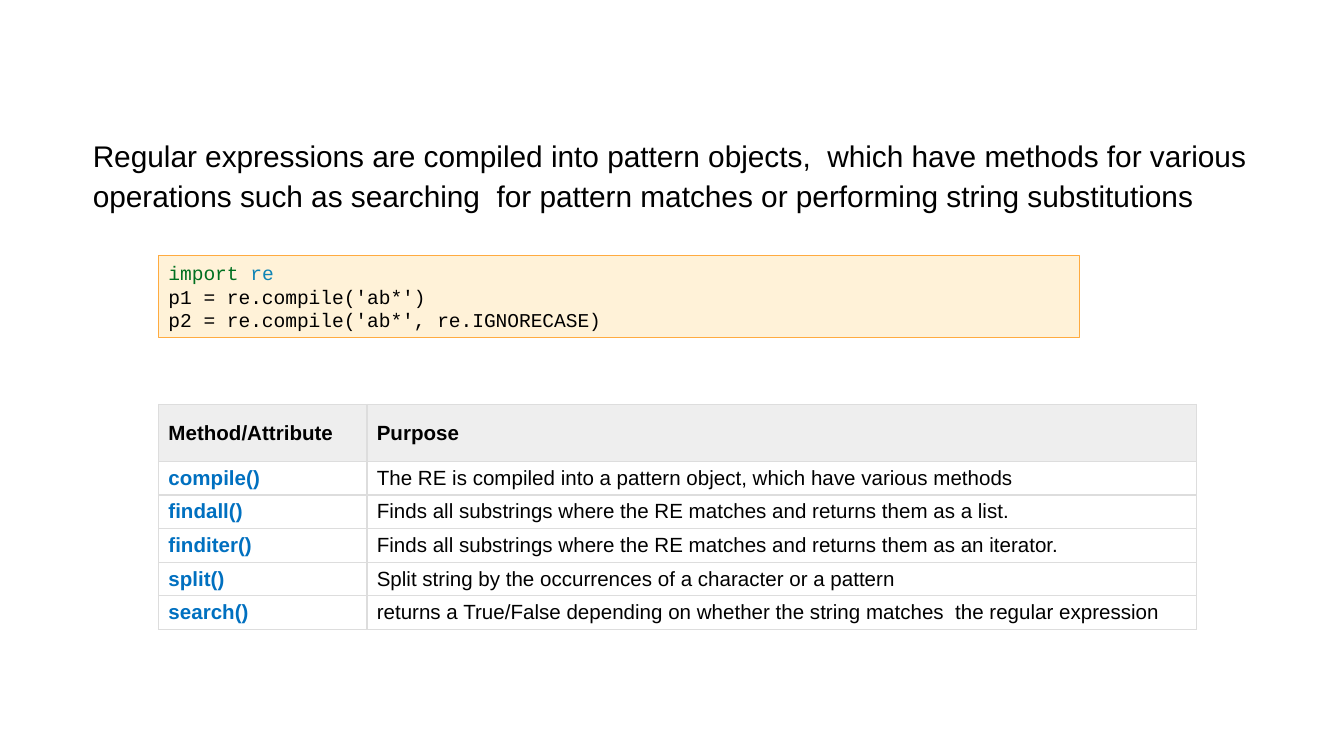
from pptx import Presentation
from pptx import util as u
from pptx.dml.color import RGBColor
from pptx.enum import shapes, text
from pptx.oxml import parse_xml
from pptx.oxml.ns import nsdecls, qn

BLACK = "000000"


def color(hex_value):
    return RGBColor.from_string(hex_value)


def add_text(paragraph, content, size=11, font="Arial", fill=BLACK, bold=False):
    run = paragraph.add_run()
    run.text = content
    run.font.size = u.Pt(size)
    run.font.name = font
    run.font.bold = bold
    run.font.color.rgb = color(fill)


presentation = Presentation()
presentation.slide_width, presentation.slide_height = u.Pt(720), u.Pt(405)
slide = presentation.slides.add_slide(presentation.slide_layouts[0])
title = slide.shapes.title
title.element.getparent().remove(title.element)

# Introduction
intro = slide.placeholders[1]
intro.left, intro.top, intro.width, intro.height = map(u.Pt, (6.5, 64.8, 684.7, 69.8))
frame = intro.text_frame
frame.word_wrap = True
frame.auto_size = text.MSO_AUTO_SIZE.NONE
frame.vertical_anchor = text.MSO_ANCHOR.TOP
frame.margin_left = frame.margin_right = frame.margin_top = frame.margin_bottom = u.Pt(7.2)
paragraph = frame.paragraphs[0]
paragraph.alignment = text.PP_ALIGN.LEFT
paragraph.line_spacing = 1.1
paragraph.space_before = u.Pt(0)
properties = paragraph._p.get_or_add_pPr()
properties.set("marL", str(u.Pt(36)))
properties.set("indent", "0")
add_text(paragraph, "Regular expressions are compiled into pattern objects,  which have methods "
         "for various operations such as searching  for pattern matches or performing "
         "string substitutions", size=16)

# Method table
rows = [
    ("Method/Attribute", "Purpose"),
    ("compile()", "The RE is compiled into a pattern object, which have various methods"),
    ("findall()", "Finds all substrings where the RE matches and returns them as a list."),
    ("finditer()", "Finds all substrings where the RE matches and returns them as an iterator."),
    ("split()", "Split string by the occurrences of a character or a pattern"),
    ("search()", "returns a True/False depending on whether the string matches  "
                 "the regular expression"),
]
table = slide.shapes.add_table(len(rows), 2, u.Pt(85), u.Pt(216.7), u.Pt(555.8), u.Pt(120.5)).table
for column, width in zip(table.columns, (111.6, 444.2)):
    column.width = u.Pt(width)
for row_index, row in enumerate(rows):
    header = row_index == 0
    table.rows[row_index].height = u.Pt(30.5 if header else 18)
    for column_index, content in enumerate(row):
        cell = table.cell(row_index, column_index)
        cell.vertical_anchor = text.MSO_ANCHOR.MIDDLE
        cell.margin_left = cell.margin_right = u.Pt(5.25)
        cell.margin_top = cell.margin_bottom = u.Pt(2.6)
        method = column_index == 0 and not header
        paragraph = cell.text_frame.paragraphs[0]
        paragraph.alignment = text.PP_ALIGN.JUSTIFY
        add_text(paragraph, content, fill="0070C0" if method else BLACK, bold=header or method)
        # Borders come before the fill in the cell properties
        cell_properties = cell._tc.get_or_add_tcPr()
        for side in ("lnL", "lnR", "lnT", "lnB"):
            cell_properties.append(parse_xml(
                f'<a:{side} {nsdecls("a")} w="{u.Pt(0.75)}"><a:solidFill>'
                f'<a:srgbClr val="DDDDDD"/></a:solidFill></a:{side}>'))
        cell.fill.solid()
        cell.fill.fore_color.rgb = color("EEEEEE" if header else "FFFFFF")

# Code box
code_box = slide.shapes.add_shape(shapes.MSO_SHAPE.RECTANGLE,
                                  u.Pt(85), u.Pt(136.8), u.Pt(493.2), u.Pt(43.9))
code_box.shadow.inherit = False
code_box.fill.solid()
code_box.fill.fore_color.rgb = color("FFCC66")
fill_color = code_box.element.spPr.find(qn("a:solidFill"))[0]
fill_color.append(parse_xml(f'<a:alpha {nsdecls("a")} val="25000"/>'))
code_box.line.color.rgb = color("FFAB40")
code_box.line.width = u.Pt(0.75)
frame = code_box.text_frame
frame.word_wrap = True
frame.auto_size = text.MSO_AUTO_SIZE.SHAPE_TO_FIT_TEXT
frame.vertical_anchor = text.MSO_ANCHOR.MIDDLE
frame.margin_left = frame.margin_right = u.Pt(5.25)
frame.margin_top = frame.margin_bottom = u.Pt(2.6)
code_lines = [
    [("import ", "007020"), ("re", "0E84B5")],
    [("p1 = re.compile('ab*')", BLACK)],
    [("p2 = re.compile('ab*', re.IGNORECASE)", BLACK)],
]
for index, line in enumerate(code_lines):
    paragraph = frame.add_paragraph() if index else frame.paragraphs[0]
    paragraph.alignment = text.PP_ALIGN.LEFT
    for content, fill in line:
        add_text(paragraph, content, size=10.5, font="Courier New", fill=fill)

presentation.save("out.pptx")
